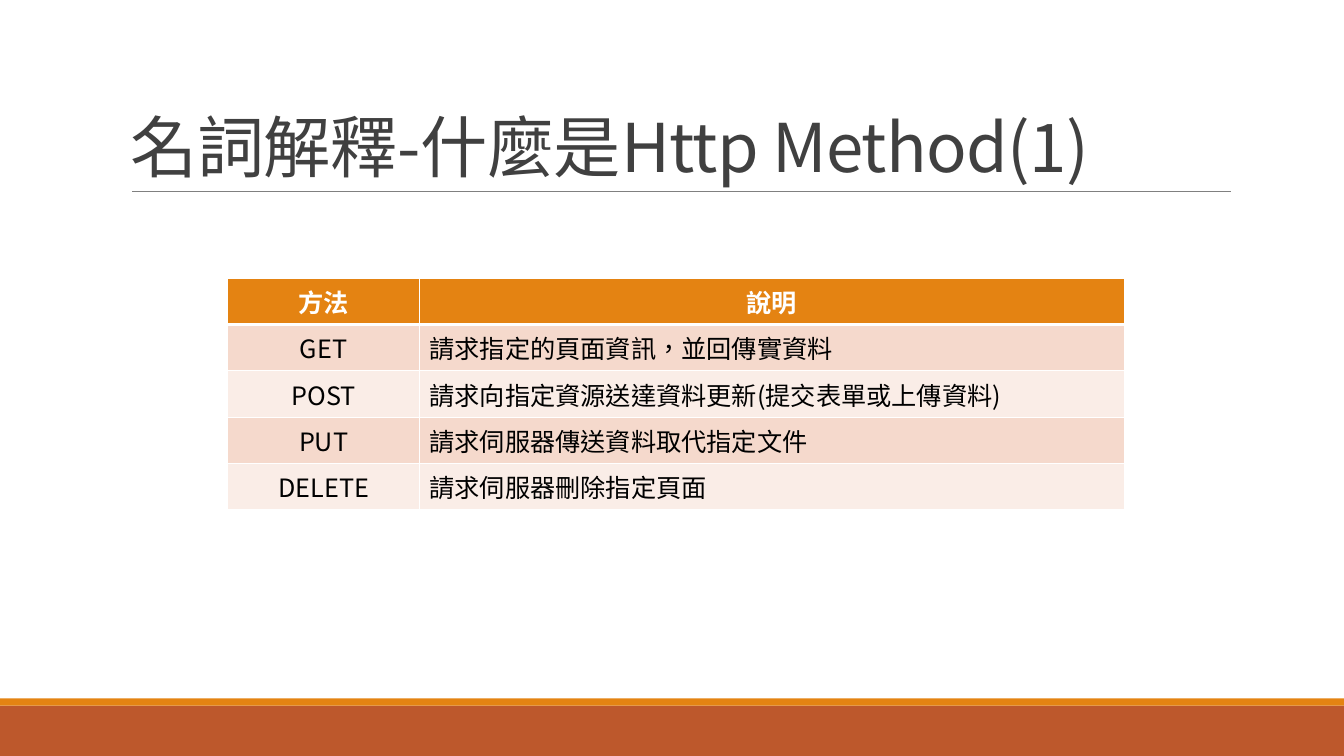
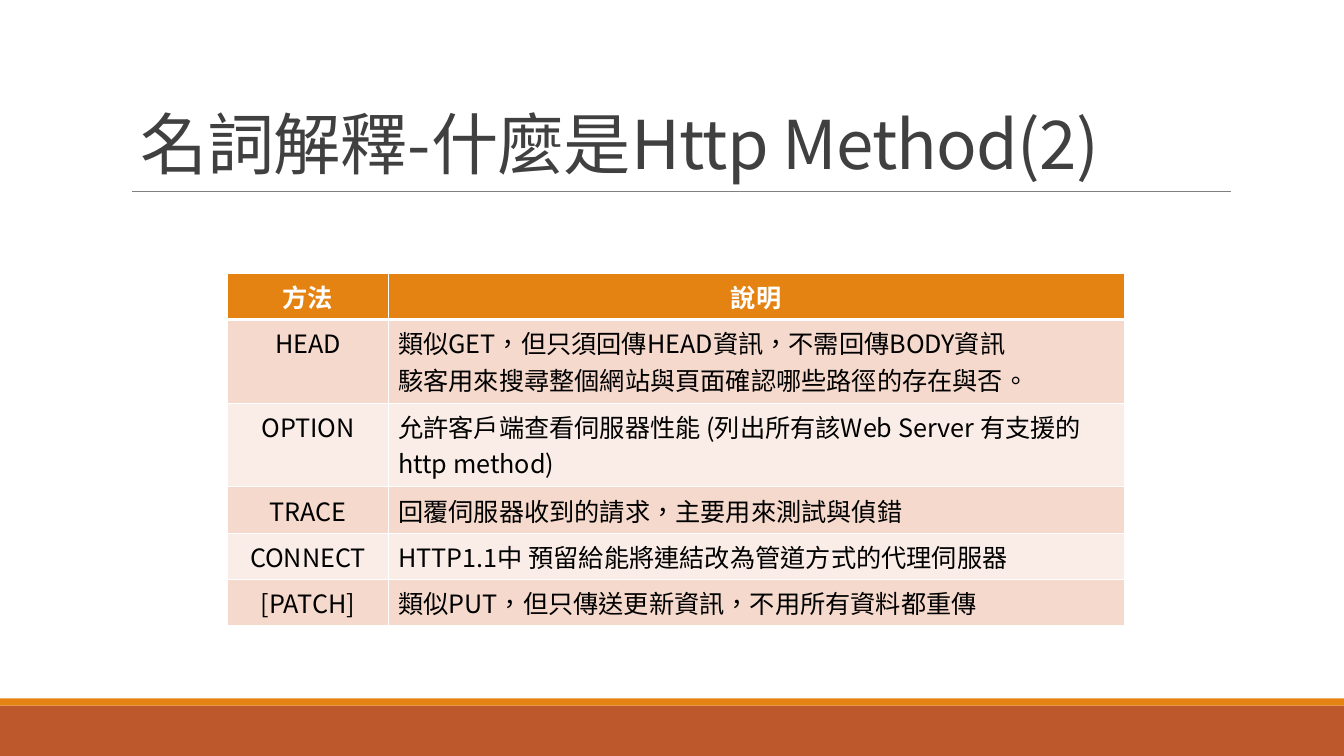
from dataclasses import dataclass

from lxml.etree import SubElement
from pptx import Presentation
from pptx.dml.color import RGBColor
from pptx.enum.lang import MSO_LANGUAGE_ID
from pptx.enum.shapes import MSO_CONNECTOR, MSO_SHAPE
from pptx.enum.text import MSO_ANCHOR, PP_ALIGN
from pptx.oxml.ns import qn
from pptx.util import Inches, Pt


@dataclass(frozen=True)
class Theme:
    font: str = "Noto Sans CJK SC"
    title_size: float = 48
    table_size: float = 18
    title: str = "404040"
    rule: str = "808080"
    footer: str = "BD582C"
    accent: str = "E48312"
    row_odd: str = "F5D9CC"
    row_even: str = "FAEDE7"
    body: str = "000000"
    white: str = "FFFFFF"


class Deck:
    WIDTH, HEIGHT = 13.33, 7.5
    TABLE_LEFT, TABLE_WIDTH = 2.26, 8.89
    ROW_HEIGHT, EXTRA_LINE = 0.46, 0.37

    def __init__(self, theme):
        self.theme = theme
        self.presentation = Presentation()
        self.presentation.slide_width = Inches(self.WIDTH)
        self.presentation.slide_height = Inches(self.HEIGHT)
        self.slide = None

    def add_slide(self):
        """Start a slide with the shared footer bands and title rule."""
        layout = self.presentation.slide_layouts[6]
        self.slide = self.presentation.slides.add_slide(layout)
        self.band(7, 0.5, self.theme.footer)
        self.band(6.93, 0.07, self.theme.accent)
        self.rule(1.31, 12.21, 1.9)

    def band(self, top, height, color):
        shape = self.slide.shapes.add_shape(
            MSO_SHAPE.RECTANGLE, 0, Inches(top), Inches(self.WIDTH), Inches(height))
        shape.shadow.inherit = False
        shape.fill.solid()
        shape.fill.fore_color.rgb = RGBColor.from_string(color)
        shape.line.fill.background()

    def rule(self, left, right, top):
        connector = self.slide.shapes.add_connector(
            MSO_CONNECTOR.STRAIGHT, Inches(left), Inches(top), Inches(right), Inches(top))
        connector.line.color.rgb = RGBColor.from_string(self.theme.rule)
        connector.line.width = Pt(0.5)
        SubElement(connector._element.spPr, qn("a:effectLst"))

    def title(self, text, left, top):
        shape = self.slide.shapes.add_textbox(
            Inches(left), Inches(top), Inches(11), Inches(1.59))
        text_frame = shape.text_frame
        text_frame.word_wrap = True
        text_frame.vertical_anchor = MSO_ANCHOR.BOTTOM
        text_frame.text = text
        paragraph = text_frame.paragraphs[0]
        paragraph.line_spacing = 0.85
        self.style(paragraph, self.theme.title_size, self.theme.title)
        for run in paragraph.runs:
            run.font._element.set("spc", "-50")

    def style(self, paragraph, size, color, bold=False):
        for run in paragraph.runs:
            font = run.font
            font.name = self.theme.font
            font.size = Pt(size)
            font.bold = bold
            font.color.rgb = RGBColor.from_string(color)
            font.language_id = MSO_LANGUAGE_ID.TRADITIONAL_CHINESE
            SubElement(font._element, qn("a:ea"), typeface=self.theme.font)

    def table(self, top, method_width, entries):
        """Draw a table from (method, description, line count) entries."""
        rows = [("方法", "說明", 1), *entries]
        heights = [self.ROW_HEIGHT + self.EXTRA_LINE * (lines - 1) for *_, lines in rows]
        frame = self.slide.shapes.add_table(
            len(rows), 2, Inches(self.TABLE_LEFT), Inches(top),
            Inches(self.TABLE_WIDTH), Inches(sum(heights)))
        table = frame.table
        table.horz_banding = False
        table.columns[0].width = Inches(method_width)
        table.columns[1].width = Inches(self.TABLE_WIDTH - method_width)
        for row_index, (*texts, _) in enumerate(rows):
            table.rows[row_index].height = Inches(heights[row_index])
            for column_index, text in enumerate(texts):
                self.cell(table.cell(row_index, column_index), text, row_index, column_index)

    def cell(self, cell, text, row_index, column_index):
        theme = self.theme
        header = row_index == 0
        if header:
            fill, color = theme.accent, theme.white
        else:
            fill, color = (theme.row_odd if row_index % 2 else theme.row_even), theme.body
        # Borders come before the fill in the cell properties.
        self.borders(cell, top=3 if row_index == 1 else 1, bottom=3 if header else 1)
        cell.fill.solid()
        cell.fill.fore_color.rgb = RGBColor.from_string(fill)
        cell.text_frame.text = text
        centered = header or column_index == 0
        for paragraph in cell.text_frame.paragraphs:
            paragraph.alignment = PP_ALIGN.CENTER if centered else PP_ALIGN.LEFT
            self.style(paragraph, theme.table_size, color, header)

    def borders(self, cell, top, bottom):
        properties = cell._tc.get_or_add_tcPr()
        for side, width in (("L", 1), ("R", 1), ("T", top), ("B", bottom)):
            line = SubElement(properties, qn(f"a:ln{side}"), w=str(Pt(width)))
            fill = SubElement(line, qn("a:solidFill"))
            SubElement(fill, qn("a:srgbClr"), val=self.theme.white)


def main():
    deck = Deck(Theme())

    deck.add_slide()
    deck.title("名詞解釋-什麼是Http Method(1)", 1.2, 0.31)
    deck.table(2.76, 1.9, [
        ("GET", "請求指定的頁面資訊，並回傳實資料", 1),
        ("POST", "請求向指定資源送達資料更新(提交表單或上傳資料)", 1),
        ("PUT", "請求伺服器傳送資料取代指定文件", 1),
        ("DELETE", "請求伺服器刪除指定頁面", 1),
    ])

    deck.add_slide()
    deck.title("名詞解釋-什麼是Http Method(2)", 1.3, 0.28)
    deck.table(2.71, 1.59, [
        ("HEAD", "類似GET，但只須回傳HEAD資訊，不需回傳BODY資訊\n"
                 "駭客用來搜尋整個網站與頁面確認哪些路徑的存在與否。", 2),
        ("OPTION", "允許客戶端查看伺服器性能 (列出所有該Web Server 有支援的 http method)", 2),
        ("TRACE", "回覆伺服器收到的請求，主要用來測試與偵錯", 1),
        ("CONNECT", "HTTP1.1中 預留給能將連結改為管道方式的代理伺服器", 1),
        ("[PATCH]", "類似PUT，但只傳送更新資訊，不用所有資料都重傳", 1),
    ])

    deck.presentation.save("out.pptx")


if __name__ == "__main__":
    main()
